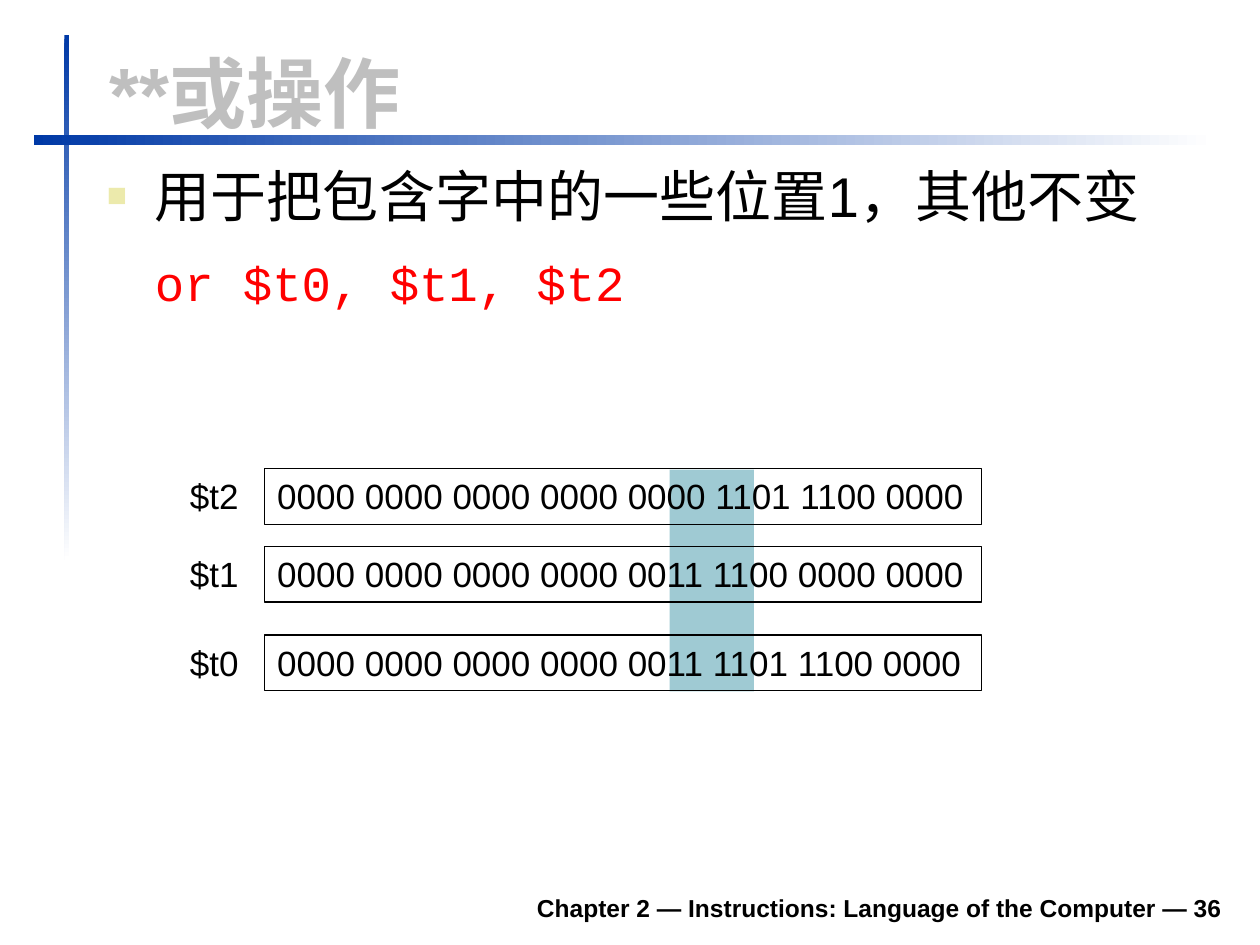
from lxml.etree import SubElement
from pptx import Presentation
from pptx.dml.color import RGBColor
from pptx.enum.shapes import MSO_SHAPE
from pptx.enum.text import MSO_ANCHOR, MSO_AUTO_SIZE, PP_ALIGN
from pptx.oxml.ns import qn
from pptx.util import Cm, Pt

BLACK, BLUE, WHITE = "000000", "0039A6", "FFFFFF"
GREY, RED, TEAL, CREAM = "BFBFBF", "FF0000", "9FCAD3", "ECEAAC"


def color(code):
    return RGBColor.from_string(code)


class Deck:
    """Holds the text style and the current slide."""
    font = "Arial"
    size = 20

    def __init__(self):
        self.prs = Presentation()
        self.prs.slide_width, self.prs.slide_height = Cm(25.4), Cm(19.05)
        self.slide = self.prs.slides.add_slide(self.prs.slide_layouts[1])

    def style(self, para, size=None, ink=BLACK, bold=False, font=None):
        for run in para.runs:
            run.font.name = font or self.font
            run.font.size = Pt(size or self.size)
            run.font.bold = bold
            run.font.color.rgb = color(ink)

    def rect(self, x, y, w, h):
        shape = self.slide.shapes.add_shape(
            MSO_SHAPE.RECTANGLE, Cm(x), Cm(y), Cm(w), Cm(h))
        shape.shadow.inherit = False
        shape.line.fill.background()
        return shape

    def fade(self, x, y, w, h, angle):
        fill = self.rect(x, y, w, h).fill
        fill.gradient()
        fill.gradient_angle = angle
        for stop, code in zip(fill.gradient_stops, (BLUE, WHITE)):
            stop.color.rgb = color(code)

    def band(self, x, y, w, h, code):
        fill = self.rect(x, y, w, h).fill
        fill.solid()
        fill.fore_color.rgb = color(code)

    def set_text(self, shape, text, anchor, align=PP_ALIGN.LEFT, wrap=False, **look):
        frame = shape.text_frame
        frame.text = text
        frame.word_wrap = wrap
        frame.auto_size = MSO_AUTO_SIZE.NONE
        frame.vertical_anchor = anchor
        frame.paragraphs[0].alignment = align
        self.style(frame.paragraphs[0], **look)

    def label(self, x, y, w, h, text, anchor=MSO_ANCHOR.TOP, **look):
        box = self.slide.shapes.add_textbox(Cm(x), Cm(y), Cm(w), Cm(h))
        self.set_text(box, text, anchor, **look)

    def word(self, x, y, w, h, text):
        """Draw a framed row of bits."""
        box = self.rect(x, y, w, h)
        box.fill.background()
        box.line.color.rgb = color(BLACK)
        box.line.width = Pt(0.75)
        self.set_text(box, text, MSO_ANCHOR.TOP)

    def place(self, shape, x, y, w, h):
        shape.left, shape.top, shape.width, shape.height = map(Cm, (x, y, w, h))

    def title(self, x, y, w, h, text, **look):
        shape = self.slide.shapes.title
        self.place(shape, x, y, w, h)
        self.set_text(shape, text, MSO_ANCHOR.BOTTOM, wrap=True, **look)

    def body(self, x, y, w, h, point, code):
        """Fill the body with a bulleted point and a line of code under it."""
        shape = self.slide.placeholders[1]
        self.place(shape, x, y, w, h)
        frame = shape.text_frame
        frame.auto_size = MSO_AUTO_SIZE.NONE
        frame.text = point
        first, second = frame.paragraphs[0], frame.add_paragraph()
        second.text = code
        self.bullet(first, 0.97, "■", CREAM, 60)
        self.bullet(second, 0.97)
        first.space_before = Pt(0)
        second.space_before = Pt(14)
        self.style(first, size=32)
        self.style(second, size=28, ink=RED, font="Courier New")

    def bullet(self, para, indent, mark=None, code=None, size=100):
        props = para._p.get_or_add_pPr()
        props.set("marL", str(Cm(indent)))
        props.set("indent", str(-Cm(indent) if mark else 0))
        if not mark:
            SubElement(props, qn("a:buNone"))
            return
        tint = SubElement(props, qn("a:buClr"))
        SubElement(tint, qn("a:srgbClr")).set("val", code)
        SubElement(props, qn("a:buSzPct")).set("val", str(size * 1000))
        SubElement(props, qn("a:buFont")).set("typeface", self.font)
        SubElement(props, qn("a:buChar")).set("char", mark)


def main():
    deck = Deck()
    deck.fade(1.3, 0.71, 0.1, 10.59, 270)
    deck.fade(0.69, 2.72, 23.8, 0.2, 0)
    deck.title(1.96, 0.79, 22.94, 2.11, "**或操作", size=44, ink=GREY, bold=True)
    deck.body(1.9, 3.12, 22.99, 5.77,
              "用于把包含字中的一些位置1，其他不变", "or $t0, $t1, $t2")
    deck.band(13.5, 9.47, 1.7, 4.47, TEAL)
    rows = [
        ("$t2", 9.45, "0000 0000 0000 0000 0000 1101 1100 0000"),
        ("$t1", 11.02, "0000 0000 0000 0000 0011 1100 0000 0000"),
        ("$t0", 12.8, "0000 0000 0000 0000 0011 1101 1100 0000"),
    ]
    for name, top, bits in rows:
        deck.label(3.58, top, 1.5, 1.1, name)
        deck.word(5.34, top, 14.45, 1.12, bits)
    deck.label(4.7, 17.73, 20.19, 0.99,
               "Chapter 2 — Instructions: Language of the Computer — 36",
               MSO_ANCHOR.BOTTOM, align=PP_ALIGN.RIGHT, wrap=True,
               size=14, bold=True)
    deck.prs.save("out.pptx")


if __name__ == "__main__":
    main()
